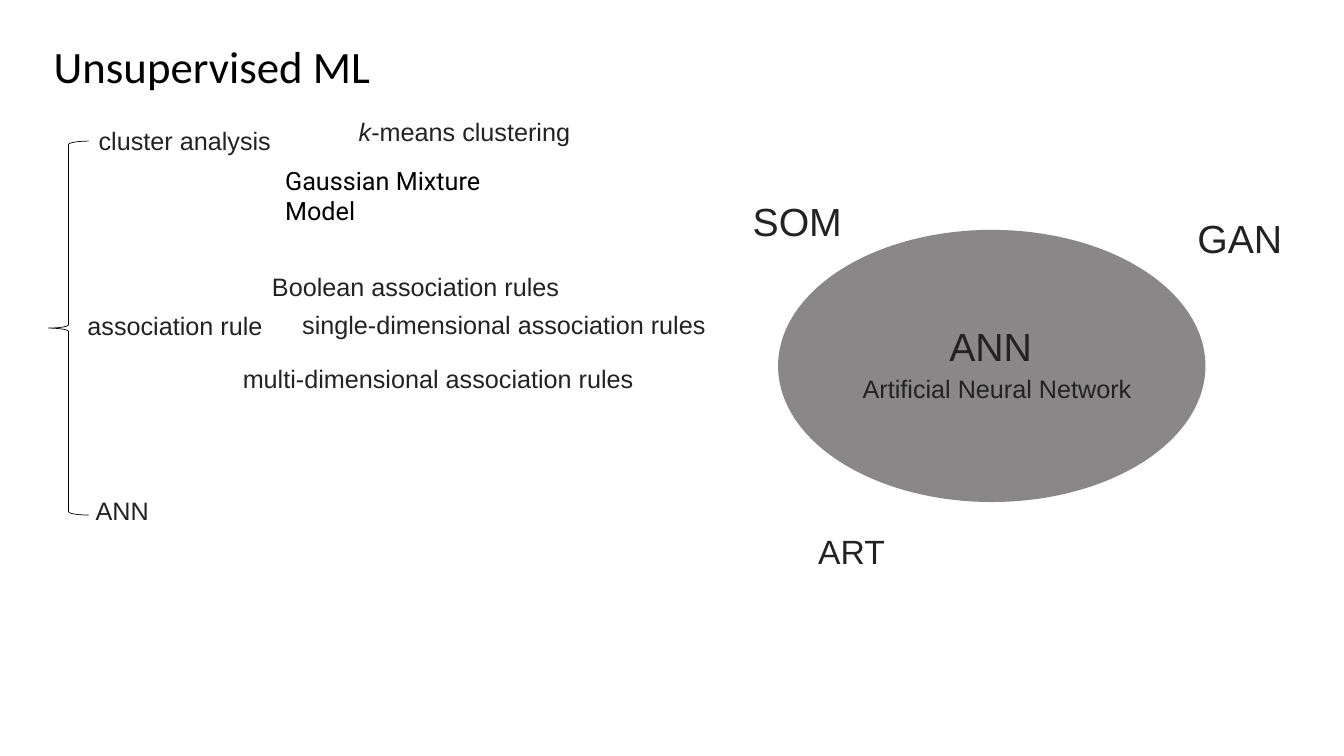
from dataclasses import dataclass

from lxml import etree
from pptx import Presentation
from pptx.dml.color import RGBColor
from pptx.enum.shapes import MSO_SHAPE
from pptx.enum.text import MSO_ANCHOR, MSO_AUTO_SIZE, PP_ALIGN
from pptx.oxml.ns import qn
from pptx.util import Pt

LEFT_BRACE, OVAL = MSO_SHAPE.LEFT_BRACE, MSO_SHAPE.OVAL
TOP, CENTER, LEFT = MSO_ANCHOR.TOP, PP_ALIGN.CENTER, PP_ALIGN.LEFT
FIT_SHAPE = MSO_AUTO_SIZE.SHAPE_TO_FIT_TEXT
TITLE_ONLY = 5


@dataclass(frozen=True)
class Theme:
    black: RGBColor = RGBColor(0x00, 0x00, 0x00)
    ink: RGBColor = RGBColor(0x22, 0x22, 0x22)
    oval: RGBColor = RGBColor(0x3B, 0x38, 0x38)
    title_font: str = "Calibri"
    label_font: str = "Arial"
    model_font: str = "Roboto"
    title: int = 32
    large: int = 28
    medium: int = 24
    body: int = 18


class SlideBuilder:
    def __init__(self, prs, theme):
        self.theme = theme
        self.s = prs.slides.add_slide(prs.slide_layouts[TITLE_ONLY])

    def add_runs(self, tf, runs, size, font, color, align=LEFT, wrap=False):
        """Fill a text frame with (text, italic) runs in one paragraph."""
        tf.word_wrap = wrap
        tf.auto_size = FIT_SHAPE
        tf.vertical_anchor = TOP
        p = tf.paragraphs[0]
        p.alignment = align
        for text, italic in runs:
            r = p.add_run()
            r.text = text
            r.font.size = Pt(size)
            r.font.name = font
            r.font.italic = italic
            r.font.color.rgb = color

    def title(self, text, left, top, width, height):
        sp = self.s.shapes.title
        sp.left, sp.top, sp.width, sp.height = map(Pt, (left, top, width, height))
        t = self.theme
        self.add_runs(sp.text_frame, [(text, False)], t.title, t.title_font,
                      t.black, CENTER, True)

    def label(self, runs, left, top, width, size=None, font=None, color=None,
              wrap=False):
        t = self.theme
        size = size or t.body
        height = size * 1.2 + 7.2
        sp = self.s.shapes.add_textbox(*map(Pt, (left, top, width, height)))
        if isinstance(runs, str):
            runs = [(runs, False)]
        self.add_runs(sp.text_frame, runs, size, font or t.label_font,
                      color or t.ink, wrap=wrap)

    def shape(self, kind, left, top, width, height):
        sp = self.s.shapes.add_shape(kind, *map(Pt, (left, top, width, height)))
        sp.shadow.inherit = False
        return sp

    def brace(self, *box):
        sp = self.shape(LEFT_BRACE, *box)
        sp.fill.background()
        sp.line.color.rgb = self.theme.black
        sp.line.width = Pt(0.5)

    def oval(self, *box, opacity):
        sp = self.shape(OVAL, *box)
        sp.fill.solid()
        sp.fill.fore_color.rgb = self.theme.oval
        color = sp.element.spPr.find(qn("a:solidFill")).find(qn("a:srgbClr"))
        etree.SubElement(color, qn("a:alpha")).set("val", str(opacity * 1000))
        sp.line.fill.background()


def main():
    prs = Presentation()
    prs.slide_width, prs.slide_height = Pt(960), Pt(540)
    theme = Theme()
    s = SlideBuilder(prs, theme)

    s.title("Unsupervised ML", -60.5, 23.8, 424, 46)

    # Branches of unsupervised learning
    s.brace(34.6, 100.8, 28.8, 267.1)
    for text, left, top, width in (
        ("cluster analysis", 63.4, 85.7, 139),
        ("association rule", 55.4, 218.2, 141.1),
        ("ANN", 61.2, 350.6, 52.6),
    ):
        s.label(text, left, top, width)

    # Methods within each branch
    s.label([("k", True), ("-means clustering", False)], 249.1, 79.9, 167)
    s.label("Gaussian Mixture Model", 196.6, 114.5, 201.6,
            font=theme.model_font, color=theme.black, wrap=True)
    s.label("Boolean association rules", 187.2, 190.1, 221.8)
    s.label("single-dimensional association rules", 208.8, 217.4, 305.3, wrap=True)
    s.label("multi-dimensional association rules", 166.3, 256.3, 295.9)

    # Neural network family
    s.oval(555.8, 164.2, 305.3, 194.4, opacity=60)
    s.label("Artificial Neural Network", 609.1, 262.8, 208.1)
    for text, left, top, width, size in (
        ("ANN", 671, 226.8, 74.2, theme.large),
        ("GAN", 848.2, 149.8, 75.6, theme.large),
        ("SOM", 530.6, 137.5, 79.2, theme.large),
        ("ART", 577.4, 375.8, 62.6, theme.medium),
    ):
        s.label(text, left, top, width, size)

    prs.save("out.pptx")


if __name__ == "__main__":
    main()
